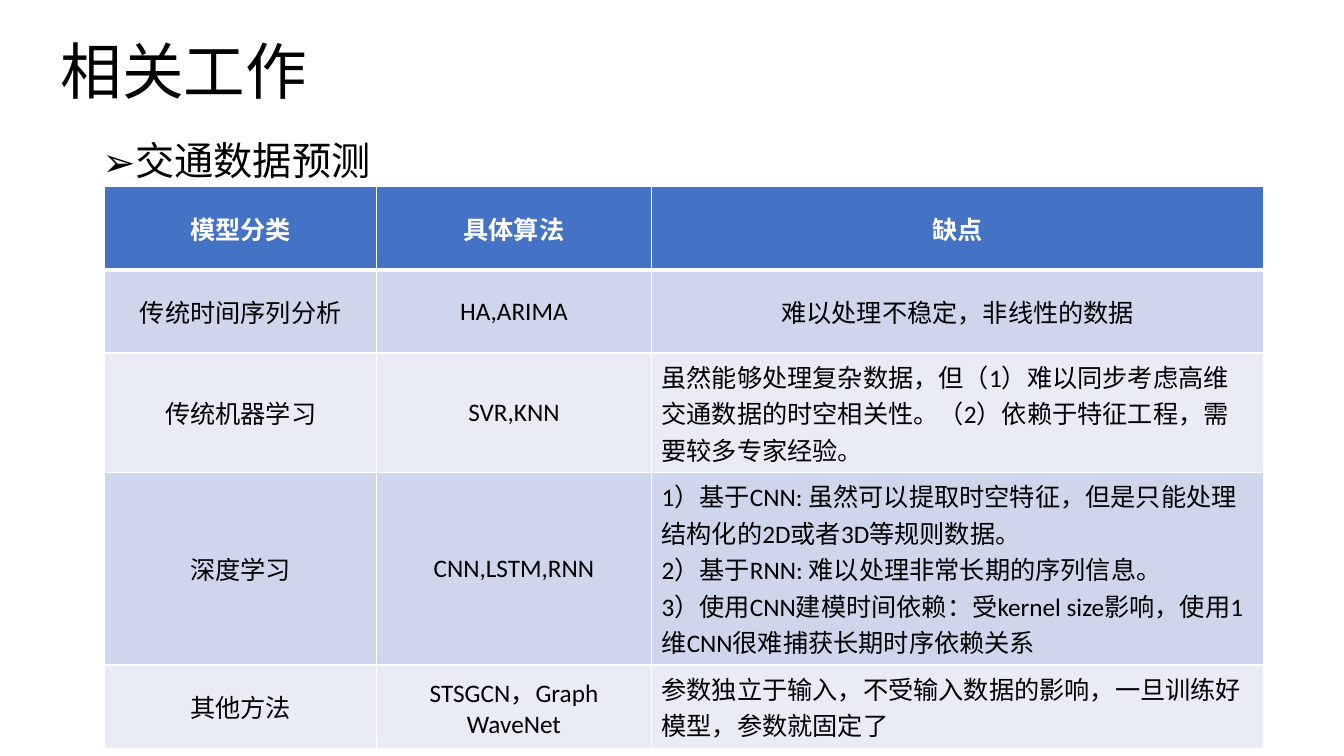
from dataclasses import dataclass

from lxml import etree
from pptx import Presentation
from pptx import util as u
from pptx.dml.color import RGBColor
from pptx.enum import text
from pptx.oxml import ns

BLACK = RGBColor(0x00, 0x00, 0x00)
WHITE = RGBColor(0xFF, 0xFF, 0xFF)
HEADER_BLUE = RGBColor(0x44, 0x72, 0xC4)
BAND_DARK = RGBColor(0xCF, 0xD5, 0xEA)
BAND_LIGHT = RGBColor(0xE9, 0xEB, 0xF5)
CJK_FONT = "Noto Sans CJK SC"
LATIN_FONT = "Calibri"
CENTER = text.PP_ALIGN.CENTER
LEFT = text.PP_ALIGN.LEFT

TITLE_FORMAT = {"size": u.Pt(44), "name": CJK_FONT, "bold": False}
TOPIC_FORMAT = {"size": u.Pt(28), "name": CJK_FONT, "bold": False}
HEADER_FORMAT = {"size": u.Pt(18), "name": LATIN_FONT, "bold": True}
ENTRY_FORMAT = {**HEADER_FORMAT, "bold": False}


@dataclass
class ModelRow:
    category: str
    algorithms: str
    drawbacks: str
    height: float = 59.5
    drawback_align: text.PP_ALIGN = LEFT


MODEL_ROWS = [
    ModelRow("模型分类", "具体算法", "缺点", drawback_align=CENTER),
    ModelRow("传统时间序列分析", "HA,ARIMA", "难以处理不稳定，非线性的数据", drawback_align=CENTER),
    ModelRow(
        "传统机器学习",
        "SVR,KNN",
        "虽然能够处理复杂数据，但（1）难以同步考虑高维交通数据的时空相关性。"
        "（2）依赖于特征工程，需要较多专家经验。",
    ),
    ModelRow(
        "深度学习",
        "CNN,LSTM,RNN",
        "1）基于CNN: 虽然可以提取时空特征，但是只能处理结构化的2D或者3D等规则数据。\n"
        "2）基于RNN: 难以处理非常长期的序列信息。\n"
        "3）使用CNN建模时间依赖：受kernel size影响，使用1维CNN很难捕获长期时序依赖关系",
        height=42,
    ),
    ModelRow(
        "其他方法",
        "STSGCN，Graph WaveNet",
        "参数独立于输入，不受输入数据的影响，一旦训练好模型，参数就固定了",
    ),
]
COLUMN_WIDTHS = [194, 196.5, 437.5]


def add_element(parent, tag: str, **attributes: str):
    return etree.SubElement(parent, ns.qn(tag), attributes)


def format_paragraph(paragraph, values: dict, color: RGBColor, align: text.PP_ALIGN) -> None:
    paragraph.alignment = align
    for run in paragraph.runs:
        for attribute, value in values.items():
            setattr(run.font, attribute, value)
        run.font.color.rgb = color
        add_element(run.font._element, "a:ea", typeface=CJK_FONT)


def place(placeholder, left: float, top: float, width: float, height: float) -> None:
    box = {"left": left, "top": top, "width": width, "height": height}
    for attribute, value in box.items():
        setattr(placeholder, attribute, u.Pt(value))
    placeholder.text_frame.auto_size = text.MSO_AUTO_SIZE.NONE


def add_borders(cell, top: float, bottom: float) -> None:
    properties = cell._tc.get_or_add_tcPr()
    for tag, width in {"a:lnL": 1, "a:lnR": 1, "a:lnT": top, "a:lnB": bottom}.items():
        line = add_element(properties, tag, w=str(u.Pt(width)))
        add_element(add_element(line, "a:solidFill"), "a:srgbClr", val=str(WHITE))


def write_cell(cell, content: str, index: int, align: text.PP_ALIGN) -> None:
    is_header = index == 0
    add_borders(cell, top=3 if index == 1 else 1, bottom=3 if is_header else 1)
    cell.fill.solid()
    cell.fill.fore_color.rgb = HEADER_BLUE if is_header else (BAND_LIGHT, BAND_DARK)[index % 2]
    cell.vertical_anchor = text.MSO_ANCHOR.MIDDLE
    cell.text_frame.text = content
    for paragraph in cell.text_frame.paragraphs:
        format_paragraph(
            paragraph,
            HEADER_FORMAT if is_header else ENTRY_FORMAT,
            WHITE if is_header else BLACK,
            align,
        )


def add_title(slide) -> None:
    title = slide.shapes.title
    place(title, 36, 0.7, 828, 104.4)
    title.text_frame.text = "相关工作"
    title.text_frame.vertical_anchor = text.MSO_ANCHOR.MIDDLE
    heading = title.text_frame.paragraphs[0]
    heading.line_spacing = 0.9
    format_paragraph(heading, TITLE_FORMAT, BLACK, LEFT)


def add_topic(slide) -> None:
    body = slide.placeholders[1]
    place(body, 66.2, 77, 828, 56.9)
    body.text_frame.vertical_anchor = text.MSO_ANCHOR.TOP
    body.text_frame.text = "交通数据预测"
    topic = body.text_frame.paragraphs[0]
    properties = topic._p.get_or_add_pPr()
    properties.set("marL", str(u.Pt(18)))
    properties.set("indent", str(u.Pt(-18)))
    add_element(properties, "a:buFont", typeface=CJK_FONT)
    add_element(properties, "a:buChar", char="➢")
    topic.line_spacing = 1.5
    topic.space_before = u.Pt(0)
    format_paragraph(topic, TOPIC_FORMAT, BLACK, LEFT)


def add_model_table(slide) -> None:
    frame = slide.shapes.add_table(
        len(MODEL_ROWS),
        len(COLUMN_WIDTHS),
        u.Pt(74.9),
        u.Pt(133.2),
        u.Pt(sum(COLUMN_WIDTHS)),
        u.Pt(sum(row.height for row in MODEL_ROWS)),
    )
    models = frame.table
    for column, width in zip(models.columns, COLUMN_WIDTHS):
        column.width = u.Pt(width)
    for index, model in enumerate(MODEL_ROWS):
        models.rows[index].height = u.Pt(model.height)
        write_cell(models.cell(index, 0), model.category, index, CENTER)
        write_cell(models.cell(index, 1), model.algorithms, index, CENTER)
        write_cell(models.cell(index, 2), model.drawbacks, index, model.drawback_align)


def main() -> None:
    deck = Presentation()
    deck.slide_width = u.Pt(960)
    deck.slide_height = u.Pt(540)
    slide = deck.slides.add_slide(deck.slide_layouts[1])
    add_title(slide)
    add_topic(slide)
    add_model_table(slide)
    deck.save("out.pptx")


if __name__ == "__main__":
    main()
